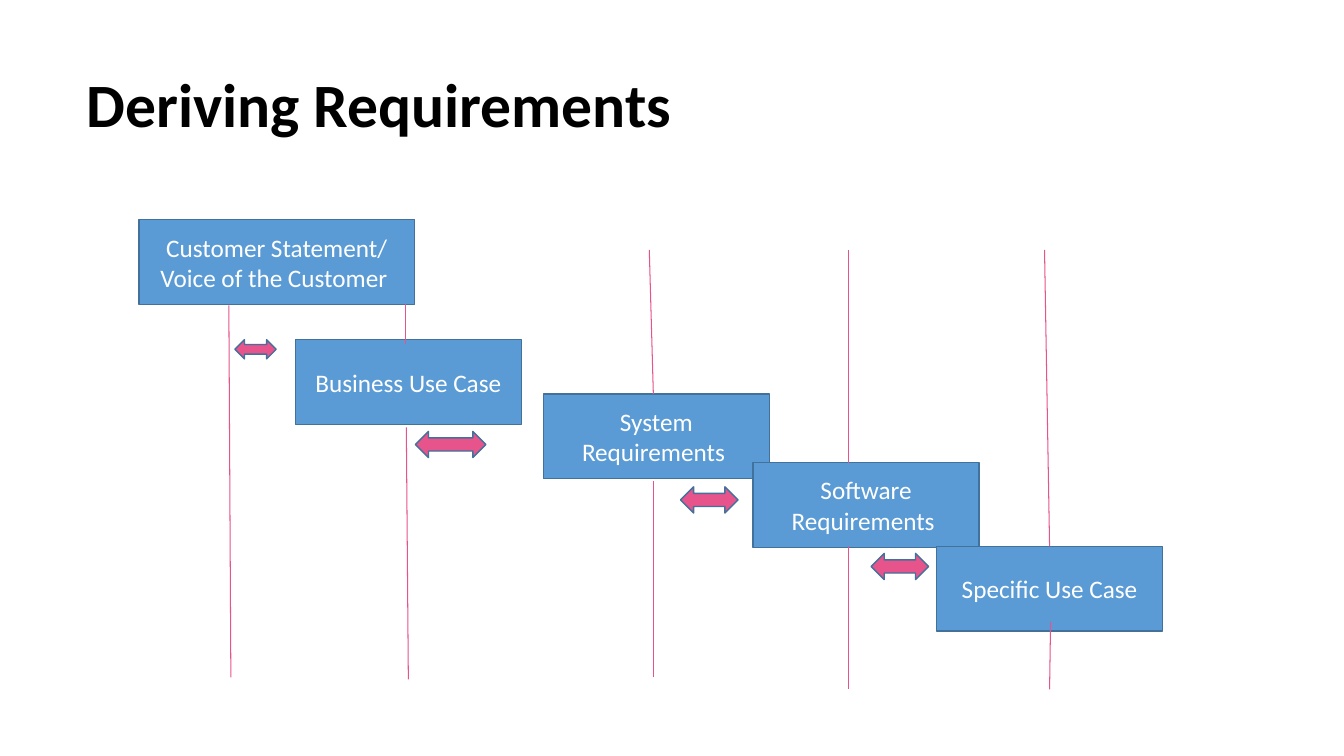
from dataclasses import dataclass

from lxml.etree import SubElement
from pptx import Presentation
from pptx.dml.color import RGBColor
from pptx.enum.shapes import MSO_CONNECTOR as CONN, MSO_SHAPE as SHAPE
from pptx.enum.text import MSO_ANCHOR as ANCHOR, PP_ALIGN as ALIGN
from pptx.oxml.ns import qn
from pptx.util import Inches, Pt


@dataclass(frozen=True)
class Theme:
    """Colours, font and sizes of the slide."""
    font: str = "Calibri"
    title: str = "000000"
    label: str = "FFFFFF"
    step: str = "5B9BD5"
    edge: str = "42719B"
    accent: str = "E7538B"
    title_pt: float = 44
    label_pt: float = 18
    edge_pt: float = 1
    line_pt: float = 0.75


@dataclass(frozen=True)
class Step:
    """One requirement level, in grid units from the diagram's corner."""
    label: str
    left: float
    top: float
    lifelines: tuple
    arrow: tuple = ()
    width: float = 22.4


THEME = Theme()
COLS, ROWS = 133.3, 75
STEP_HEIGHT = 8.4
TITLE_BOX = (7.6, 3.4, 115, 14.5)
DIAGRAM_BOX = (13.8, 21.8, 101.5, 46.6)

STEPS = (
    Step("Customer Statement/ Voice of the Customer ", 0, 0,
         ((8.9, 8.5, 9.1, 45.4),), (9.5, 11.9, 4.1, 1.9), 27.3),
    Step("Business Use Case", 15.5, 11.9,
         ((26.4, 8.4, 26.4, 12.3), (26.5, 20.6, 26.7, 45.6)),
         (27.4, 21, 7, 2.6)),
    Step("System Requirements ", 40.1, 17.3,
         ((50.6, 3, 51, 17.3), (51, 25.9, 51, 45.4)),
         (53.7, 26.5, 5.7, 2.6)),
    Step("Software Requirements ", 60.9, 24.1,
         ((70.4, 3, 70.4, 24.1), (70.4, 32.4, 70.4, 46.6)),
         (72.6, 33.1, 5.7, 2.6)),
    Step("Specific Use Case", 79.1, 32.4,
         ((89.8, 3, 90.3, 32.4), (90.4, 39.9, 90.3, 46.6))),
)


def grid(*units):
    """Turn grid units of a tenth of an inch into lengths."""
    return [Inches(u / 10) for u in units]


def rgb(value):
    """Return a theme colour."""
    return RGBColor.from_string(value)


def write(sp, text, size, color, align, bold=False):
    """Fill a shape with one wrapped, vertically centred paragraph."""
    tf = sp.text_frame
    tf.text = text
    tf.word_wrap = True
    tf.vertical_anchor = ANCHOR.MIDDLE
    p = tf.paragraphs[0]
    p.alignment = align
    font = p.runs[0].font
    font.name, font.size, font.bold = THEME.font, Pt(size), bold
    font.color.rgb = rgb(color)
    return p


def add_block(s, kind, box, fill):
    """Add a filled, outlined shape."""
    sp = s.shapes.add_shape(kind, *grid(*box))
    sp.shadow.inherit = False
    sp.fill.solid()
    sp.fill.fore_color.rgb = rgb(fill)
    sp.line.color.rgb = rgb(THEME.edge)
    sp.line.width = Pt(THEME.edge_pt)
    return sp


def add_lifeline(s, ends):
    """Add a thin accent line."""
    line = s.shapes.add_connector(CONN.STRAIGHT, *grid(*ends))
    line.line.color.rgb = rgb(THEME.accent)
    line.line.width = Pt(THEME.line_pt)
    SubElement(line._element.spPr, qn("a:effectLst"))


def add_title(s, box, text):
    """Place the slide title in its box."""
    sp = s.shapes.add_textbox(*grid(*box))
    p = write(sp, text, THEME.title_pt, THEME.title, ALIGN.LEFT, True)
    p.line_spacing = 0.9


def add_diagram(s, box, steps):
    """Place the staircase of steps with lifelines and arrows."""
    x, y = box[:2]
    for step in steps:
        sp = add_block(s, SHAPE.RECTANGLE,
                       (x + step.left, y + step.top, step.width, STEP_HEIGHT),
                       THEME.step)
        write(sp, step.label, THEME.label_pt, THEME.label, ALIGN.CENTER)
        for x1, y1, x2, y2 in step.lifelines:
            add_lifeline(s, (x + x1, y + y1, x + x2, y + y2))
        if step.arrow:
            left, top, width, height = step.arrow
            add_block(s, SHAPE.LEFT_RIGHT_ARROW,
                      (x + left, y + top, width, height), THEME.accent)


def main():
    """Build and save the slide."""
    prs = Presentation()
    prs.slide_width, prs.slide_height = grid(COLS, ROWS)
    s = prs.slides.add_slide(prs.slide_layouts[6])
    add_title(s, TITLE_BOX, "Deriving Requirements")
    add_diagram(s, DIAGRAM_BOX, STEPS)
    prs.save("out.pptx")


if __name__ == "__main__":
    main()
